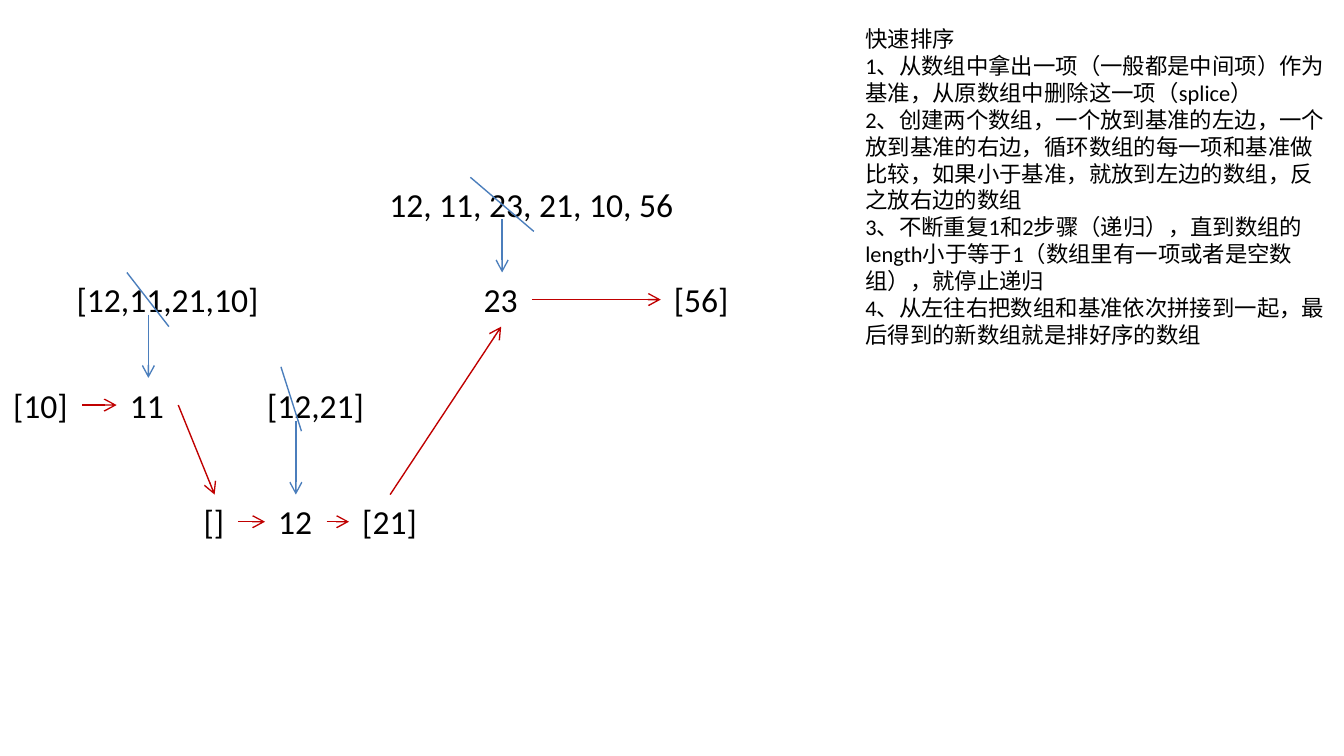
from lxml.etree import SubElement
from pptx import Presentation
from pptx.dml.color import RGBColor
from pptx.enum.shapes import MSO_CONNECTOR
from pptx.enum.text import MSO_AUTO_SIZE
from pptx.oxml.ns import qn
from pptx.util import Pt

FONT = "Calibri"
COLORS = {"text": "000000", "split": "4B7EBC", "join": "C00000"}

# Top of each recursion level
ROW1, ROW2, ROW3, ROW4 = 95, 146, 202.5, 265
ROW_H = 29

NOTES = [
    "快速排序",
    "1、从数组中拿出一项（一般都是中间项）作为基准，从原数组中删除这一项（splice）",
    "2、创建两个数组，一个放到基准的左边，一个放到基准的右边，"
    "循环数组的每一项和基准做比较，如果小于基准，就放到左边的数组，反之放右边的数组",
    "3、不断重复1和2步骤（递归），直到数组的length小于等于1"
    "（数组里有一项或者是空数组），就停止递归",
    "4、从左往右把数组和基准依次拼接到一起，最后得到的新数组就是排好序的数组",
]

# Text, left, top, width
ARRAYS = [
    ("12, 11, 23, 21, 10, 56", 201.5, ROW1, 168.5),
    ("[12,11,21,10]", 34, ROW2, 113),
    ("23", 252, ROW2, 33),
    ("[56]", 354, ROW2, 44),
    ("[10]", 0, ROW3, 44),
    ("11", 62.5, ROW3, 33),
    ("[12,21]", 136, ROW3, 67),
    ("[]", 102, ROW4, 26),
    ("12", 142, ROW4, 33),
    ("[21]", 187, ROW4, 44),
]

# Start x, y, end x, y
STRIKES = [
    (252, ROW1, 286, ROW1 + ROW_H),
    (68, ROW2, 90.5, ROW2 + ROW_H),
    (150.5, 196.5, 161.5, 231),
]
PIVOT_ARROWS = [
    (269, 117.5, 269, ROW2),
    (79.5, 168.5, 79.5, ROW3),
    (158.5, 225.5, 158.5, ROW4),
]
JOIN_ARROWS = [
    (44, 217, 62.5, 217),
    (95.5, 217, 115, ROW4),
    (127.5, 279.5, 142, 279.5),
    (175, 279.5, 187, 279.5),
    (209, ROW4, 268.5, ROW2 + ROW_H),
    (285, 160.5, 354, 160.5),
]


def add_text(s, lines, x, y, w, h, size, wrap=False):
    tf = s.shapes.add_textbox(Pt(x), Pt(y), Pt(w), Pt(h)).text_frame
    tf.word_wrap = wrap
    tf.auto_size = MSO_AUTO_SIZE.SHAPE_TO_FIT_TEXT
    for i, line in enumerate(lines):
        p = tf.add_paragraph() if i else tf.paragraphs[0]
        r = p.add_run()
        r.text = line
        r.font.name = FONT
        r.font.size = Pt(size)
        r.font.color.rgb = RGBColor.from_string(COLORS["text"])


def add_line(s, ends, color, arrow=True):
    sp = s.shapes.add_connector(MSO_CONNECTOR.STRAIGHT, *(Pt(v) for v in ends))
    sp.line.color.rgb = RGBColor.from_string(COLORS[color])
    sp.line.width = Pt(0.75)
    if arrow:
        SubElement(sp.line._get_or_add_ln(), qn("a:tailEnd"), type="arrow")
    SubElement(sp._element.spPr, qn("a:effectLst"))


def main():
    prs = Presentation()
    prs.slide_width, prs.slide_height = Pt(720), Pt(405)
    s = prs.slides.add_slide(prs.slide_layouts[6])

    # Explanation of the algorithm
    add_text(s, NOTES, 456.5, 10, 263.5, 181.5, 12, wrap=True)

    # Arrays and pivots
    for text, x, y, w in ARRAYS:
        add_text(s, [text], x, y, w, ROW_H, 18)

    # Removed pivots, then the steps down and back up
    for ends in STRIKES:
        add_line(s, ends, "split", arrow=False)
    for ends in PIVOT_ARROWS:
        add_line(s, ends, "split")
    for ends in JOIN_ARROWS:
        add_line(s, ends, "join")

    prs.save("out.pptx")


if __name__ == "__main__":
    main()
